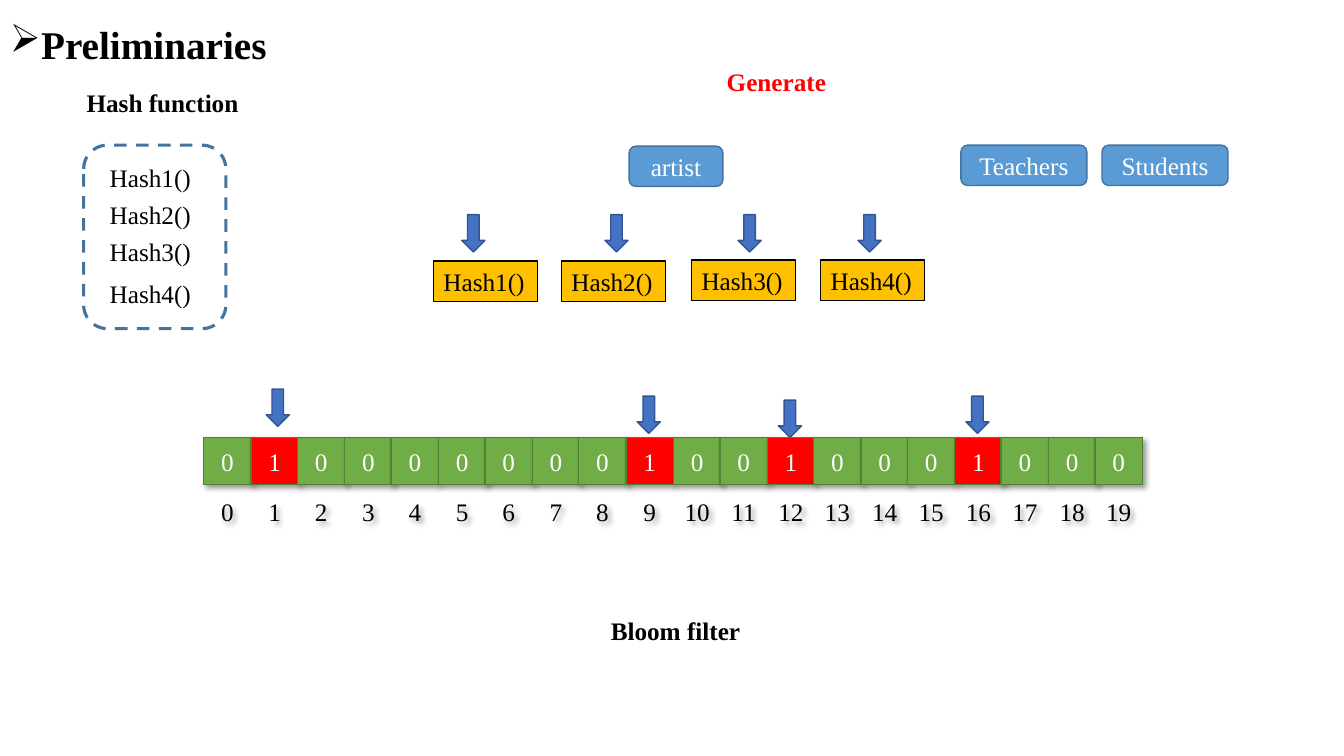
"""Builds a slide on hash functions and the Bloom filter they fill."""
from lxml import etree
from pptx import Presentation, util as u
from pptx.dml.color import RGBColor
from pptx.enum import dml, shapes, text
from pptx.oxml import parse_xml
from pptx.oxml.ns import qn

PX = 9144
NS = "http://schemas.openxmlformats.org/drawingml/2006/main"
COLORS = {
    "black": "000000", "white": "FFFFFF", "red": "FF0000",
    "green": "70AD47", "green_edge": "538035",
    "blue": "5B9BD5", "blue_edge": "43739E",
    "arrow": "4472C4", "arrow_edge": "325491", "amber": "FFC000",
}
SHADOW = (
    f'<a:effectLst xmlns:a="{NS}">'
    '<a:outerShdw blurRad="50800" dist="38100" dir="2700000" algn="tl" rotWithShape="0">'
    '<a:srgbClr val="000000"><a:alpha val="40000"/></a:srgbClr>'
    '</a:outerShdw></a:effectLst>'
)
CENTERED = {"word_wrap": True, "vertical_anchor": text.MSO_ANCHOR.MIDDLE}
FITTED = {"word_wrap": False, "auto_size": text.MSO_AUTO_SIZE.SHAPE_TO_FIT_TEXT}
MSO = shapes.MSO_SHAPE

prs = Presentation()
prs.slide_width, prs.slide_height = u.Emu(1333 * PX), u.Emu(750 * PX)
s = prs.slides.add_slide(prs.slide_layouts[6])


def add_shape(kind, box, fill, edge, width=1):
    """Add a preset shape, or a text box when kind is None."""
    box = [u.Emu(v * PX) for v in box]
    if kind is None:
        return s.shapes.add_textbox(*box)
    sp = s.shapes.add_shape(kind, *box)
    sp.shadow.inherit = False
    if fill:
        sp.fill.solid()
        sp.fill.fore_color.rgb = RGBColor.from_string(COLORS[fill])
    else:
        sp.fill.background()
    sp.line.color.rgb = RGBColor.from_string(COLORS[edge])
    sp.line.width = u.Pt(width)
    return sp


def write(sp, words, color, frame, size=18, bold=False):
    """Fill a shape with one line of text."""
    tf = sp.text_frame
    for name, value in frame.items():
        setattr(tf, name, value)
    p = tf.paragraphs[0]
    p.alignment = text.PP_ALIGN.CENTER if frame is CENTERED else text.PP_ALIGN.LEFT
    r = p.add_run()
    r.text = words
    font = {"name": "Times New Roman", "size": u.Pt(size), "bold": bold}
    for name, value in font.items():
        setattr(r.font, name, value)
    r.font.color.rgb = RGBColor.from_string(COLORS[color])
    return p


for i in range(20):
    left = round(202 + i * 46.55)
    hit = i in (1, 9, 12, 16)
    cell = add_shape(MSO.RECTANGLE, (left, 434, 47, 47), "red" if hit else "green", "green_edge")
    write(cell, str(int(hit)), "white", CENTERED)
    index = add_shape(None, (left, 484, 47, 47), None, None)
    write(index, str(i), "black", CENTERED)
    for sp in (cell, index):
        pr = sp._element.spPr
        for old in pr.findall(qn("a:effectLst")):
            pr.remove(old)
        pr.append(parse_xml(SHADOW))

frame = add_shape(MSO.ROUNDED_RECTANGLE, (83, 144, 141, 182), None, "blue_edge", 2.25)
frame.line.dash_style = dml.MSO_LINE.DASH

hashes = [(156, 430, 259), (193, 557, 259), (230, 686, 258), (271, 814, 258)]
for n, (list_top, left, top) in enumerate(hashes, 1):
    item = add_shape(None, (99, list_top, 103, 40), None, None)
    step = add_shape(MSO.RECTANGLE, (left, top, 103, 40), "amber", "black")
    for sp in (item, step):
        write(sp, f"Hash{n}()", "black", {**FITTED, "vertical_anchor": text.MSO_ANCHOR.TOP})

arrows = [(458, 213), (600, 213), (732, 213), (851, 213),
          (264, 386), (632, 393), (772, 397), (958, 393)]
for left, top in arrows:
    add_shape(MSO.DOWN_ARROW, (left, top, 23, 37), "arrow", "arrow_edge")

for words, box in [("artist", (624, 145, 93, 40)),
                   ("Teachers", (953, 144, 125, 40)),
                   ("Students", (1093, 144, 125, 40))]:
    sp = add_shape(MSO.ROUNDED_RECTANGLE, box, "blue", "blue_edge")
    write(sp, words, "white", CENTERED)

for words, box, color in [("Hash function", (76, 82, 172, 40), "black"),
                          ("Generate", (711, 61, 120, 40), "red"),
                          ("Bloom filter", (596, 606, 150, 40), "black")]:
    write(add_shape(None, box, None, None), words, color, FITTED, bold=True)

title = add_shape(None, (0, 15, 282, 57), None, None)
p = write(title, "Preliminaries", "black", FITTED, size=28, bold=True)
pPr = p._p.get_or_add_pPr()
pPr.set("marL", str(31 * PX))
pPr.set("indent", str(-31 * PX))
etree.SubElement(pPr, qn("a:buChar")).set("char", "➢")

prs.save("out.pptx")
